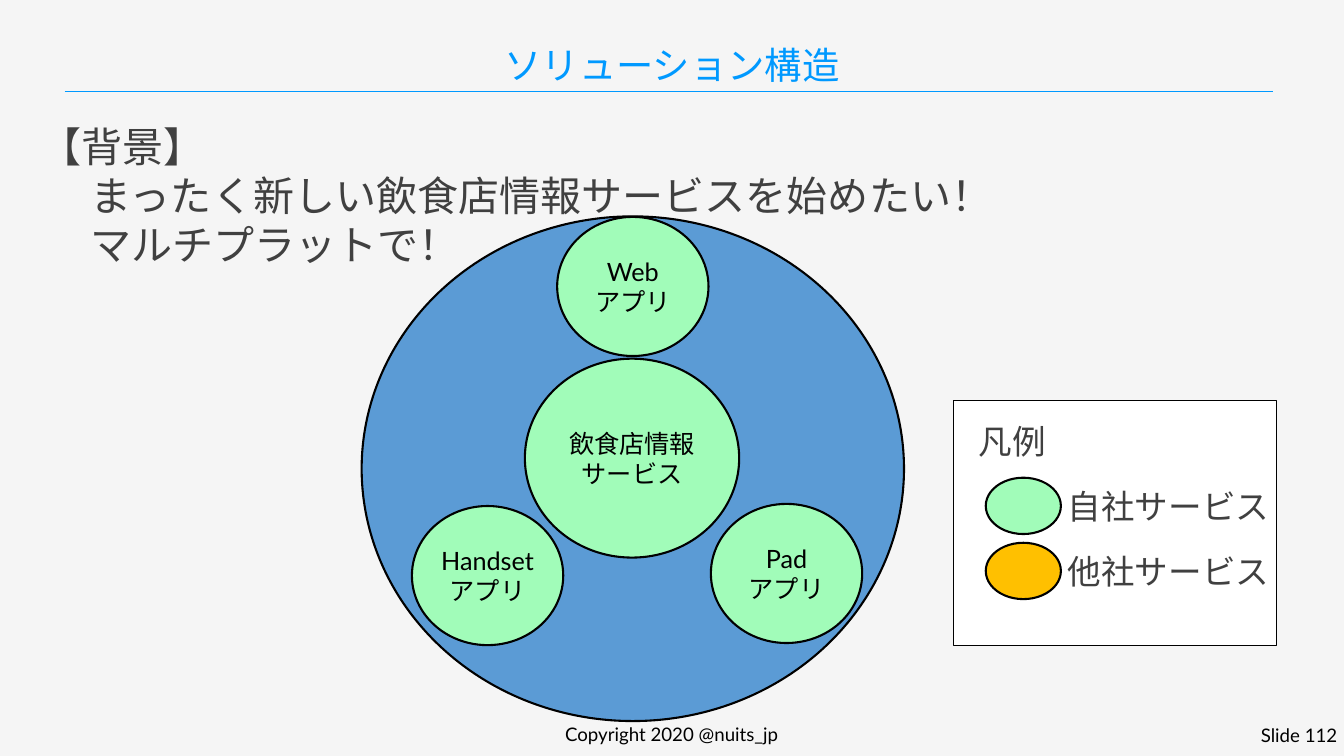
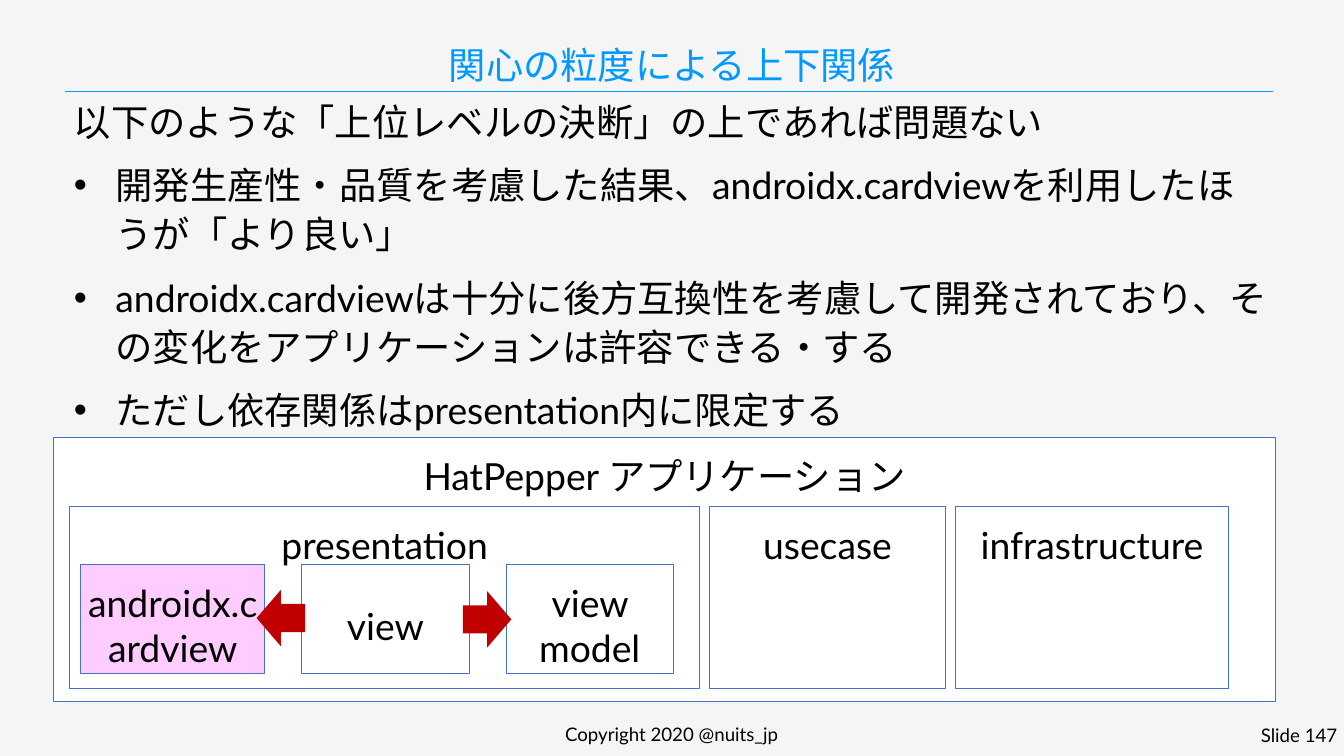
from lxml import etree
from pptx import Presentation
from pptx.dml.color import RGBColor
from pptx.enum.shapes import MSO_CONNECTOR, MSO_SHAPE
from pptx.enum.text import MSO_ANCHOR, MSO_AUTO_SIZE, PP_ALIGN
from pptx.oxml.ns import qn
from pptx.util import Cm, Pt

OVAL = MSO_SHAPE.OVAL
RECT = MSO_SHAPE.RECTANGLE
ARROW = MSO_SHAPE.RIGHT_ARROW
LEFT, CENTER, RIGHT = PP_ALIGN.LEFT, PP_ALIGN.CENTER, PP_ALIGN.RIGHT
TOP, MIDDLE, BOTTOM = MSO_ANCHOR.TOP, MSO_ANCHOR.MIDDLE, MSO_ANCHOR.BOTTOM
FIT, FIXED = MSO_AUTO_SIZE.SHAPE_TO_FIT_TEXT, MSO_AUTO_SIZE.NONE
STRAIGHT = MSO_CONNECTOR.STRAIGHT

FONT = "Lato"
PAPER, WHITE, BLACK, GRAY = "F5F5F5", "FFFFFF", "000000", "404040"
ACCENT, BLUE, EDGE = "0099FF", "5B9BD5", "4472C4"
GREEN, AMBER, PINK, RED = "A1FCB9", "FFC000", "FFCCFF", "C00000"
TITLE_ONLY, TITLE_BODY = 5, 1


def rgb(code):
    return RGBColor.from_string(code)


def area(*lengths):
    return [Cm(n) for n in lengths]


def place(shape, *box):
    shape.left, shape.top, shape.width, shape.height = area(*box)


def write(frame, lines, size, color=BLACK, align=LEFT, anchor=TOP, wrap=True):
    frame.word_wrap = wrap
    frame.vertical_anchor = anchor
    for i, line in enumerate(lines):
        para = frame.paragraphs[0] if i == 0 else frame.add_paragraph()
        para.alignment = align
        run = para.add_run()
        run.text = line
        run.font.name = FONT
        run.font.size = Pt(size)
        run.font.color.rgb = rgb(color)
    return frame.paragraphs


def indent(para, left, first=0):
    props = para._p.get_or_add_pPr()
    props.set("marL", str(Cm(left)))
    props.set("indent", str(Cm(first)))
    return props


def label(slide, box, line, align):
    text = slide.shapes.add_textbox(*area(*box))
    write(text.text_frame, [line], 20, align=align, anchor=MIDDLE)


def note(shapes, box, lines, size):
    frame = shapes.add_textbox(*area(*box)).text_frame
    frame.auto_size = FIT
    return write(frame, lines, size, GRAY, wrap=False)


def figure(shapes, kind, box, fill, edge=None, width=1):
    shape = shapes.add_shape(kind, *area(*box))
    shape.shadow.inherit = False
    shape.fill.solid()
    shape.fill.fore_color.rgb = rgb(fill)
    if edge:
        shape.line.color.rgb = rgb(edge)
        shape.line.width = Pt(width)
    else:
        shape.line.fill.background()
    return shape


def circle(shapes, box, fill, lines=()):
    shape = figure(shapes, OVAL, box, fill, BLACK, 2.25)
    frame = shape.text_frame
    frame.margin_left = frame.margin_right = 0
    frame.margin_top = frame.margin_bottom = 0
    write(frame, lines, 27, align=CENTER, anchor=MIDDLE, wrap=False)


def block(shapes, box, line, fill=WHITE, anchor=TOP):
    frame = figure(shapes, RECT, box, fill, EDGE).text_frame
    frame.margin_top = Cm(0.61)
    write(frame, [line], 40, align=CENTER, anchor=anchor)


def row(shapes, left, top, height, gap, items):
    for width, *style in items:
        block(shapes, (left, top, width, height), *style)
        left += width + gap


def rule(slide):
    line = slide.shapes.add_connector(STRAIGHT, *area(2.44, 3.45, 48.11, 3.45))
    line.line.color.rgb = rgb(ACCENT)
    line.line.width = Pt(0.5)
    etree.SubElement(line._element.spPr, qn("a:effectLst"))


def page(deck, layout, title, number):
    slide = deck.slides.add_slide(deck.slide_layouts[layout])
    head = slide.shapes.title
    place(head, 0.89, 1.3, 49.02, 2.13)
    head.text_frame.auto_size = FIXED
    paras = write(head.text_frame, [title], 40, ACCENT, CENTER, BOTTOM)
    paras[0].line_spacing = 0.9
    rule(slide)
    label(slide, (16.81, 27.28, 17.15, 0.97), "Copyright 2020 @nuits_jp", CENTER)
    label(slide, (46.43, 27.31, 4.37, 0.94), f"Slide {number}", RIGHT)
    return slide


def bullets(slide, lines):
    body = slide.placeholders[1]
    place(body, 2.54, 3.45, 45.67, 13.31)
    body.text_frame.auto_size = FIXED
    for i, para in enumerate(write(body.text_frame, lines, 40)):
        para.line_spacing = 1.1
        para.space_before = Pt(15)
        if i == 0:
            etree.SubElement(indent(para, 0), qn("a:buNone"))
        else:
            mark = etree.SubElement(indent(para, 1.57, -1.57), qn("a:buChar"))
            mark.set("char", "•")


def legend(slide):
    shapes = slide.shapes.add_group_shape().shapes
    figure(shapes, RECT, (36.04, 15.14, 12.22, 9.25), WHITE, BLACK)
    note(shapes, (36.75, 15.77, 3.07, 1.8), ["凡例"], 36)
    keys = [(GREEN, "自社サービス"), (AMBER, "他社サービス")]
    for i, (fill, name) in enumerate(keys):
        top = 18.06 + 2.46 * i
        circle(shapes, (37.26, top, 2.84, 2.13), fill)
        note(shapes, (40.11, top + 0.17, 8.2, 1.8), [name], 36)


def solution(deck):
    slide = page(deck, TITLE_ONLY, "ソリューション構造", 112)
    shapes = slide.shapes.add_group_shape().shapes
    circle(shapes, (13.67, 8.18, 20.5, 19.08), BLUE)
    circle(shapes, (19.84, 13.56, 8.1, 7.52), GREEN, ["飲食店情報", "サービス"])
    apps = [("Web", 21.06, 8.2), ("Handset", 15.57, 19.13), ("Pad", 26.87, 19.05)]
    for name, left, top in apps:
        circle(shapes, (left, top, 5.72, 5.26), GREEN, [name, "アプリ"])
    goals = note(slide.shapes, (1.27, 4.45, 36.93, 5.89), [
        "【背景】",
        "まったく新しい飲食店情報サービスを始めたい！",
        "マルチプラットで！",
    ], 44)
    for para in goals[1:]:
        para.level = 1
        indent(para, 1.9)
    legend(slide)


def concern(deck):
    slide = page(deck, TITLE_BODY, "関心の粒度による上下関係", 147)
    bullets(slide, [
        "以下のような「上位レベルの決断」の上であれば問題ない",
        "開発生産性・品質を考慮した結果、androidx.cardviewを利用したほうが「より良い」",
        "androidx.cardviewは十分に後方互換性を考慮して開発されており、"
        "その変化をアプリケーションは許容できる・する",
        "ただし依存関係はpresentation内に限定する",
    ])
    shapes = slide.shapes
    block(shapes, (2.03, 16.54, 46.18, 9.98), "HatPepper アプリケーション")
    row(shapes, 2.64, 19.13, 6.88, 0.38, [
        (23.8, "presentation"),
        (8.92, "usecase"),
        (10.31, "infrastructure"),
    ])
    row(shapes, 3.05, 21.34, 4.11, 1.4, [
        (6.96, "androidx.cardview", PINK),
        (6.32, "view", WHITE, MIDDLE),
        (6.32, "view model"),
    ])
    for left, top, turn in [(17.5, 22.35, 0), (9.7, 22.3, 180)]:
        arrow = figure(shapes, ARROW, (left, top, 1.83, 2.13), RED)
        arrow.rotation = turn


def main():
    deck = Presentation()
    deck.slide_width, deck.slide_height = area(50.8, 28.58)
    fill = deck.slide_master.background.fill
    fill.solid()
    fill.fore_color.rgb = rgb(PAPER)
    solution(deck)
    concern(deck)
    deck.save("out.pptx")


if __name__ == "__main__":
    main()
